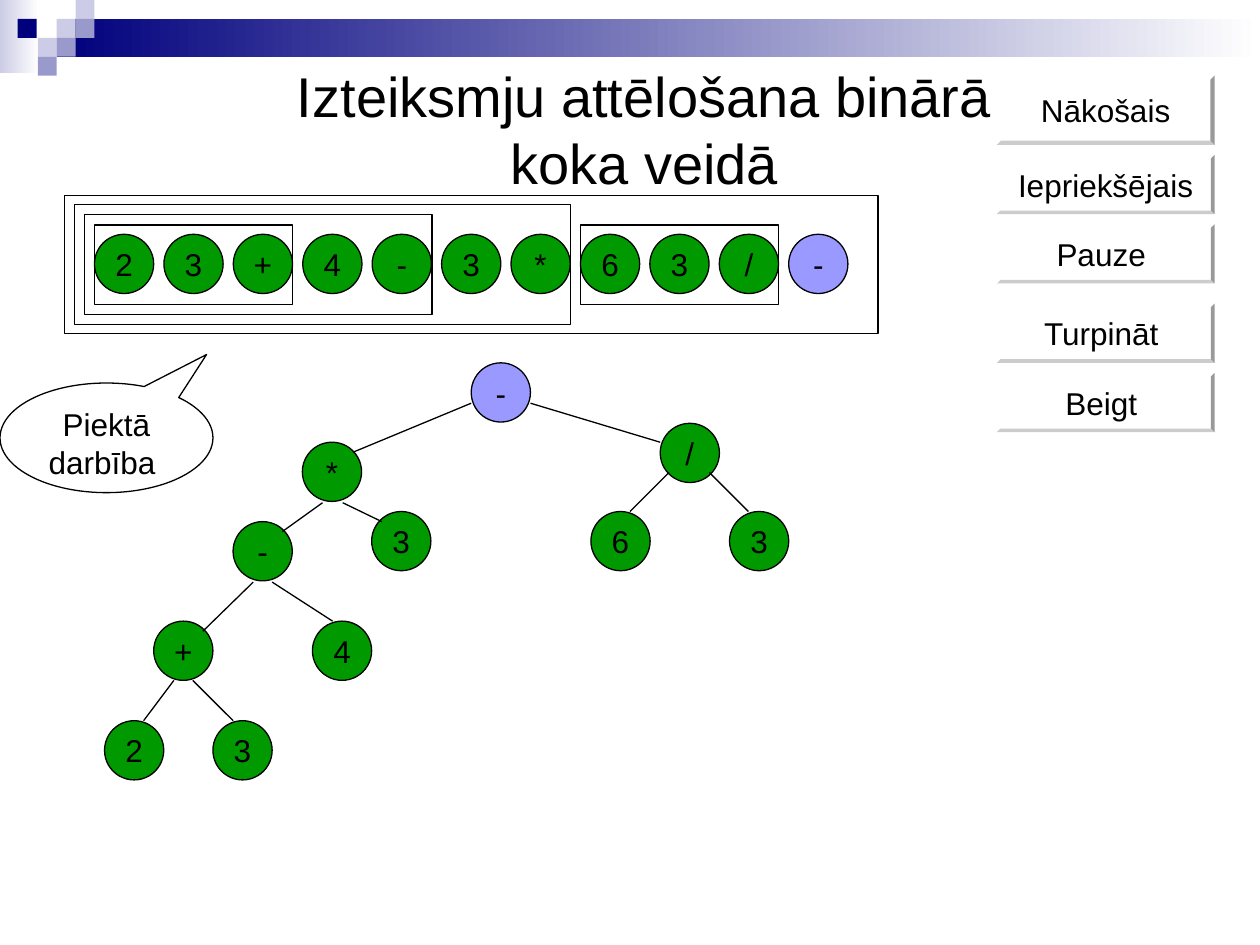
from typing import NamedTuple

from lxml import etree
from pptx import Presentation
from pptx import util as u
from pptx.dml.color import RGBColor
from pptx.enum import shapes, text
from pptx.oxml.ns import qn

COLORS = {
    "black": "000000",
    "white": "FFFFFF",
    "navy": "00007D",
    "lavender": "CCCCE6",
    "violet": "9999CC",
    "done": "009900",
    "current": "9999FF",
}
SHAPE = shapes.MSO_SHAPE
NODE_SIZE = 0.47
ROW_TOP = 1.86
ROW_MIDDLE = 2.1


class Square(NamedTuple):
    left: float
    top: float
    color: str


class Frame(NamedTuple):
    left: float
    width: float
    height: float


class Button(NamedTuple):
    label: str
    top: float
    height: float = 0.47


class Node(NamedTuple):
    label: str
    left: float
    top: float
    color: str = "done"


class Edge(NamedTuple):
    x1: float
    y1: float
    x2: float
    y2: float


SQUARES = [
    Square(0.45, 0.15, "lavender"),
    Square(0.6, 0, "lavender"),
    Square(0.6, 0.15, "violet"),
    Square(0.3, 0.3, "lavender"),
    Square(0.14, 0.15, "navy"),
    Square(0.45, 0.3, "violet"),
    Square(0.3, 0.45, "violet"),
]
FRAMES = [
    Frame(0.51, 6.46, 1.1),
    Frame(4.61, 1.57, 0.63),
    Frame(0.59, 3.94, 0.95),
    Frame(0.67, 2.76, 0.79),
    Frame(0.75, 1.57, 0.63),
]
BUTTONS = [
    Button("Nākošais", 0.6, 0.55),
    Button("Iepriekšējais", 1.23),
    Button("Pauze ", 1.78),
    Button("Turpināt ", 2.41),
    Button("Beigt ", 2.96),
]
POSTFIX = "23+4-3*63/-"
TREE = [
    Node("2", 0.83, 5.72),
    Node("3", 1.69, 5.72),
    Node("+", 1.22, 4.93),
    Node("-", 1.85, 4.14),
    Node("4", 2.48, 4.93),
    Node("3", 2.95, 4.06),
    Node("*", 2.4, 3.51),
    Node("6", 4.69, 4.06),
    Node("3", 5.79, 4.06),
    Node("/", 5.24, 3.36),
    Node("-", 3.74, 2.88, "current"),
]
EDGES = [
    Edge(1.14, 5.72, 1.38, 5.4),
    Edge(1.85, 5.72, 1.53, 5.4),
    Edge(1.61, 5.01, 2.01, 4.62),
    Edge(2.64, 4.93, 2.16, 4.62),
    Edge(2.24, 4.22, 2.56, 3.99),
    Edge(2.72, 3.99, 3.03, 4.14),
    Edge(5, 4.06, 5.31, 3.75),
    Edge(5.63, 3.75, 5.94, 4.06),
    Edge(2.8, 3.59, 3.74, 3.2),
    Edge(5.24, 3.51, 4.21, 3.2),
]


def rgb(name: str) -> RGBColor:
    return RGBColor.from_string(COLORS[name])


def add_box(s, kind, left: float, top: float, width: float, height: float,
            fill: str, outlined: bool = True):
    sp = s.shapes.add_shape(kind, *map(u.Inches, (left, top, width, height)))
    sp.shadow.inherit = False
    sp.fill.solid()
    sp.fill.fore_color.rgb = rgb(fill)
    if outlined:
        sp.line.color.rgb = rgb("black")
        sp.line.width = u.Pt(0.75)
    else:
        sp.line.fill.background()
    return sp


def write(sp, label: str, size: int = 18, wrap: bool = False,
          anchor=text.MSO_ANCHOR.MIDDLE) -> None:
    tf = sp.text_frame
    tf.text = label
    tf.word_wrap = wrap
    tf.vertical_anchor = anchor
    p = tf.paragraphs[0]
    p.alignment = text.PP_ALIGN.CENTER
    r = p.runs[0]
    r.font.size = u.Pt(size)
    r.font.name = "Arial"
    r.font.color.rgb = rgb("black")


def add_fade(s, left: float, top: float, width: float, height: float, color: str) -> None:
    sp = add_box(s, SHAPE.RECTANGLE, left, top, width, height, color, False)
    sp.fill.gradient()
    sp.fill.gradient_angle = 180
    for stop, name, position in zip(sp.fill.gradient_stops, ("white", color), (0, 1)):
        stop.color.rgb = rgb(name)
        stop.position = position


def add_button(s, button: Button) -> None:
    sp = add_box(s, SHAPE.BEVEL, 7.91, button.top, 1.73, button.height, "white", False)
    sp.adjustments[0] = 0.06
    write(sp, button.label)


def add_node(s, node: Node) -> None:
    sp = add_box(s, SHAPE.OVAL, node.left, node.top, NODE_SIZE, NODE_SIZE, node.color)
    write(sp, node.label)


def add_edge(s, edge: Edge) -> None:
    line = s.shapes.add_connector(shapes.MSO_CONNECTOR.STRAIGHT, *map(u.Inches, edge))
    line.line.color.rgb = rgb("black")
    line.line.width = u.Pt(0.75)
    etree.SubElement(line._element.spPr, qn("a:effectLst"))


def add_title(s, label: str) -> None:
    title = s.shapes.title
    title.left, title.top, title.width, title.height = map(
        u.Inches, (1.77, 0.44, 6.69, 1.17))
    write(title, label, 32, True, text.MSO_ANCHOR.TOP)
    title.text_frame.auto_size = text.MSO_AUTO_SIZE.NONE


def main() -> None:
    prs = Presentation()
    prs.slide_width, prs.slide_height = u.Inches(10), u.Inches(7.5)
    s = prs.slides.add_slide(prs.slide_layouts[5])

    add_fade(s, 0, 0, 0.31, 0.58, "lavender")
    add_fade(s, 0.45, 0.15, 9.55, 0.3, "navy")
    for square in SQUARES:
        add_box(s, SHAPE.RECTANGLE, square.left, square.top, 0.15, 0.15, square.color, False)
    for frame in FRAMES:
        add_box(s, SHAPE.RECTANGLE, frame.left, ROW_MIDDLE - frame.height / 2,
                frame.width, frame.height, "white")
    for button in BUTTONS:
        add_button(s, button)
    add_title(s, "Izteiksmju attēlošana binārā koka veidā")

    last = len(POSTFIX) - 1
    for i, symbol in enumerate(POSTFIX):
        color = "current" if i == last else "done"
        add_node(s, Node(symbol, 0.75 + 5.51 * i / last, ROW_TOP, color))

    callout = add_box(s, SHAPE.OVAL_CALLOUT, 0, 3.04, 1.69, 0.87, "white")
    callout.adjustments[0], callout.adjustments[1] = 0.47, -0.76
    write(callout, "Piektā darbība ", wrap=True, anchor=text.MSO_ANCHOR.TOP)

    for node in TREE:
        add_node(s, node)
    for edge in EDGES:
        add_edge(s, edge)
    prs.save("out.pptx")


if __name__ == "__main__":
    main()
